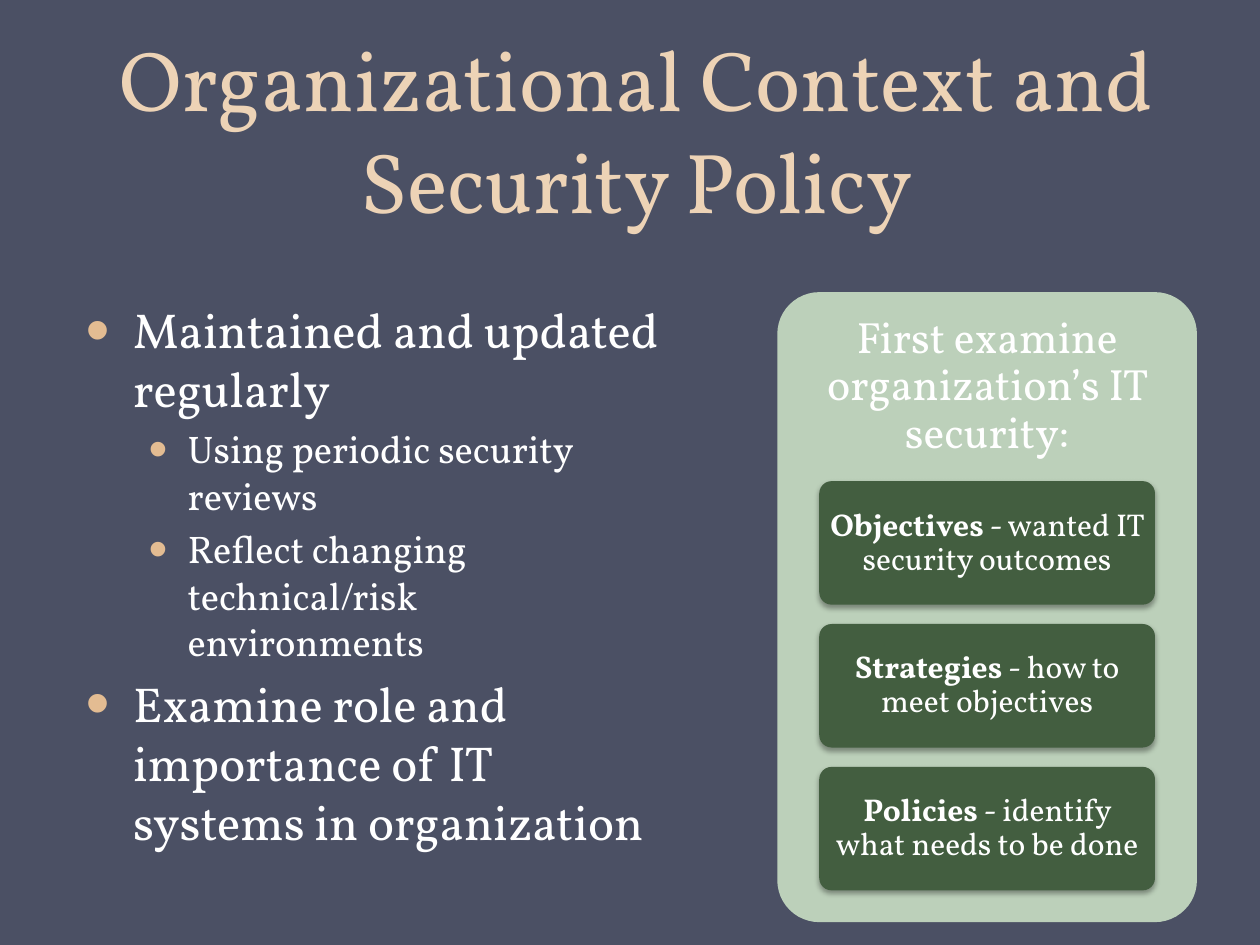
from lxml import etree
from pptx import Presentation
from pptx import util as u
from pptx.dml.color import RGBColor
from pptx.enum import shapes, text
from pptx.oxml import ns

FONT = "Vollkorn"
BACKGROUND, TITLE, BULLET = "4B5064", "EDD3B6", "E3BC92"
WHITE, PANEL, TILE = "FFFFFF", "BCD0BA", "435E40"

TOPICS = [
    (0, "Maintained and updated regularly"),
    (1, "Using periodic security reviews"),
    (1, "Reflect changing technical/risk environments"),
    (0, "Examine role and importance of IT systems in organization"),
]
STEPS = [
    ("Objectives", " - wanted IT security outcomes"),
    ("Strategies", " - how to meet objectives"),
    ("Policies", " - identify what needs to be done"),
]


def paint(color_format, value):
    color_format.rgb = RGBColor.from_string(value)


def add_xml(parent, tag, **attributes):
    return etree.SubElement(parent, ns.qn(tag), attributes)


class PolicySlide:
    """Holds the slide and its style; lengths are in centimetres."""

    def __init__(self, presentation):
        self.slide = presentation.slides.add_slide(presentation.slide_layouts[1])
        background = self.slide.background.fill
        background.solid()
        paint(background.fore_color, BACKGROUND)

    def place(self, shape, left, top, width, height):
        shape.left, shape.top = u.Cm(left), u.Cm(top)
        shape.width, shape.height = u.Cm(width), u.Cm(height)

    def add_run(self, paragraph, wording, size, color=WHITE, bold=False):
        run = paragraph.add_run()
        run.text = wording
        run.font.name, run.font.size, run.font.bold = FONT, u.Pt(size), bold
        paint(run.font.color, color)

    def title(self, wording, *box):
        heading = self.slide.shapes.title
        self.place(heading, *box)
        frame = heading.text_frame
        frame.auto_size = text.MSO_AUTO_SIZE.NONE
        frame.vertical_anchor = text.MSO_ANCHOR.BOTTOM
        paragraph = frame.paragraphs[0]
        paragraph.alignment = text.PP_ALIGN.CENTER
        paragraph.line_spacing = u.Pt(58)
        self.add_run(paragraph, wording, 48.6, TITLE)

    def bullets(self, topics, *box):
        body = self.slide.placeholders[1]
        self.place(body, *box)
        frame = body.text_frame
        frame.auto_size = text.MSO_AUTO_SIZE.NONE
        for index, (level, wording) in enumerate(topics):
            paragraph = frame.add_paragraph() if index else frame.paragraphs[0]
            size, margin, hanging = [(28, 0.96, 0.96), (22, 2.06, 0.79)][level]
            paragraph.level = level
            paragraph.space_before = u.Pt(size * 0.2)
            properties = paragraph._p.get_or_add_pPr()
            properties.set("marL", str(u.Cm(margin)))
            properties.set("indent", str(-u.Cm(hanging)))
            add_xml(add_xml(properties, "a:buClr"), "a:srgbClr", val=BULLET)
            add_xml(properties, "a:buSzPct", val="140000")
            add_xml(properties, "a:buChar", char="•")
            self.add_run(paragraph, wording, size)

    def centred_text(self, shape, runs, size, inset):
        """Fill a shape with one paragraph of (wording, bold) runs."""
        frame = shape.text_frame
        frame.word_wrap = True
        frame.vertical_anchor = text.MSO_ANCHOR.MIDDLE
        frame.margin_left = frame.margin_right = u.Cm(inset)
        frame.margin_top = frame.margin_bottom = u.Cm(inset)
        paragraph = frame.paragraphs[0]
        paragraph.alignment = text.PP_ALIGN.CENTER
        paragraph.line_spacing = 0.9
        paragraph.space_after = u.Pt(size * 0.35)
        for wording, bold in runs:
            self.add_run(paragraph, wording, size, bold=bold)

    def rounded(self, color, *box):
        shape = self.slide.shapes.add_shape(
            shapes.MSO_SHAPE.ROUNDED_RECTANGLE, *map(u.Cm, box))
        shape.adjustments[0] = 0.1
        shape.fill.solid()
        paint(shape.fill.fore_color, color)
        shape.line.fill.background()
        shape.shadow.inherit = False
        return shape

    def heading(self, wording, *box):
        label = self.slide.shapes.add_textbox(*map(u.Cm, box))
        self.centred_text(label, [(wording, False)], 25, 0.25)

    def tile(self, term, meaning, *box):
        card = self.rounded(TILE, *box)
        effects = card._element.spPr.find(ns.qn("a:effectLst"))
        shadow = add_xml(effects, "a:outerShdw", blurRad=str(u.Pt(3.1)),
                         dist=str(u.Pt(1.8)), dir="5400000", rotWithShape="0")
        shade = add_xml(shadow, "a:srgbClr", val="000000")
        add_xml(shade, "a:alpha", val="35000")
        self.centred_text(card, [(term, True), (meaning, False)], 18, 0.12)


def main():
    presentation = Presentation()
    presentation.slide_width, presentation.slide_height = u.Cm(25.4), u.Cm(19.05)
    page = PolicySlide(presentation)
    page.title("Organizational Context and Security Policy", 1.3, 0.53, 23.06, 4.24)
    page.bullets(TOPICS, 1.47, 5.92, 12.07, 13.87)

    left, top, width = 15.67, 5.89, 8.46
    heading_height, tile_height, pitch = 3.81, 2.49, 2.88
    page.rounded(PANEL, left, top, width, 12.7)
    page.heading("First examine organization’s IT security:",
                 left, top, width, heading_height)
    for row, (term, meaning) in enumerate(STEPS):
        page.tile(term, meaning, left + width * 0.1,
                  top + heading_height + row * pitch, width * 0.8, tile_height)
    presentation.save("out.pptx")


if __name__ == "__main__":
    main()
